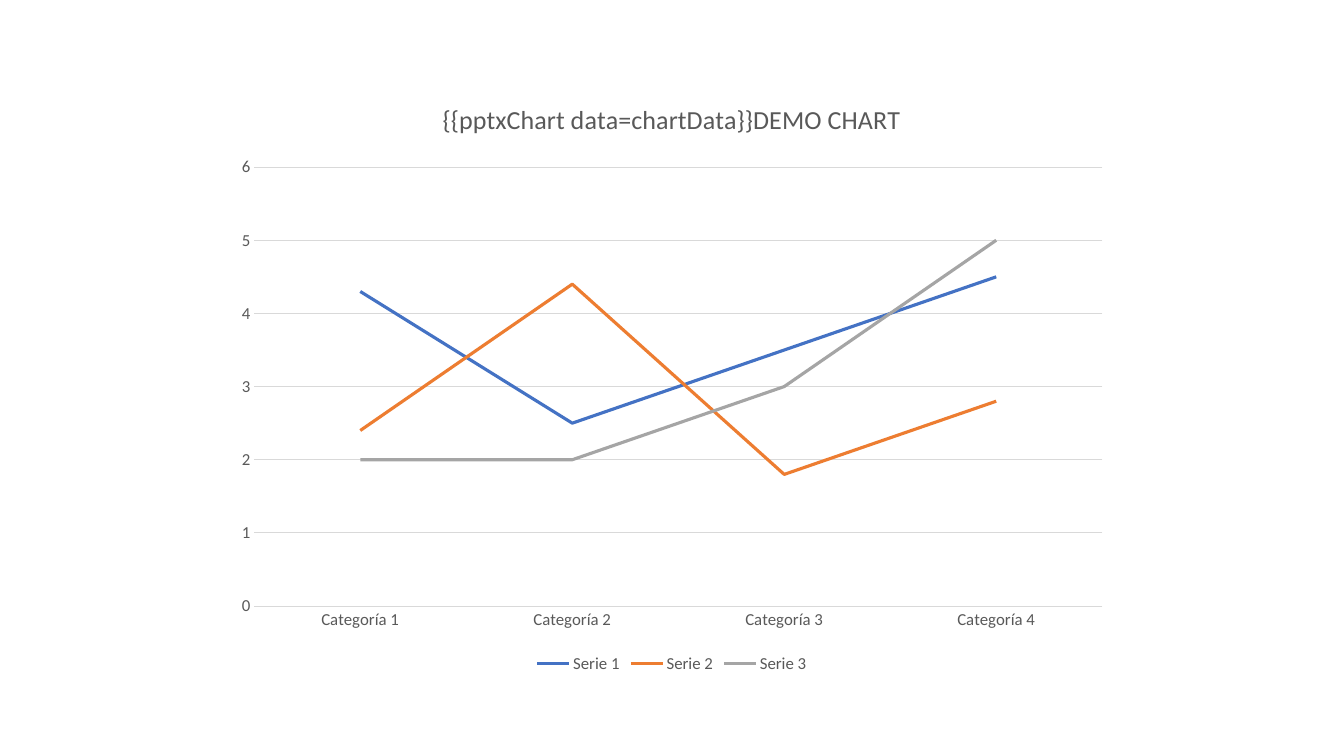
from dataclasses import dataclass

from pptx import Presentation
from pptx import util as u
from pptx.chart import data as cd
from pptx.dml.color import RGBColor
from pptx.enum import chart as ch

HUES = {"text": "595959", "grid": "D9D9D9", "blue": "4472C4",
        "orange": "ED7D31", "gray": "A5A5A5"}


@dataclass
class Trend:
    name: str
    vals: tuple[float, ...]
    hue: str


CATS = [f"Categoría {n}" for n in range(1, 5)]
TRENDS = [
    Trend("Serie 1", (4.3, 2.5, 3.5, 4.5), "blue"),
    Trend("Serie 2", (2.4, 4.4, 1.8, 2.8), "orange"),
    Trend("Serie 3", (2, 2, 3, 5), "gray"),
]


def assign(item, **values) -> None:
    for key, value in values.items():
        setattr(item, key, value)


def style_font(font, size: float) -> None:
    assign(font, name="Calibri", size=u.Pt(size), bold=False)
    font.color.rgb = RGBColor.from_string(HUES["text"])


def style_line(line, hue: str, width: float) -> None:
    line.color.rgb = RGBColor.from_string(HUES[hue])
    line.width = u.Pt(width)


def style_axes(chart) -> None:
    cat, val = chart.category_axis, chart.value_axis
    for axis in (cat, val):
        assign(axis, major_tick_mark=ch.XL_TICK_MARK.NONE,
               minor_tick_mark=ch.XL_TICK_MARK.NONE)
        style_font(axis.tick_labels.font, 12)
    style_line(cat.format.line, "grid", 0.75)
    assign(val, minimum_scale=0, maximum_scale=6, major_unit=1,
           has_major_gridlines=True)
    val.format.line.fill.background()
    style_line(val.major_gridlines.format.line, "grid", 0.75)


def add_trends(slide) -> None:
    data = cd.CategoryChartData()
    data.categories = CATS
    for trend in TRENDS:
        data.add_series(trend.name, trend.vals)
    box = [u.Inches(n) for n in (2.22, 0.79, 8.89, 5.93)]
    chart = slide.shapes.add_chart(ch.XL_CHART_TYPE.LINE, *box, data).chart
    assign(chart, has_title=True, has_legend=True)
    style_font(chart.font, 12)

    title = chart.chart_title
    title.include_in_layout = False
    part = title.text_frame.paragraphs[0].add_run()
    part.text = "{{pptxChart data=chartData}}DEMO CHART"
    style_font(part.font, 18.6)

    assign(chart.legend, position=ch.XL_LEGEND_POSITION.BOTTOM,
           include_in_layout=False)
    style_font(chart.legend.font, 12)
    style_axes(chart)

    plot = chart.plots[0]
    plot.vary_by_categories = False
    for line, trend in zip(plot.series, TRENDS):
        line.smooth = False
        line.marker.style = ch.XL_MARKER_STYLE.NONE
        style_line(line.format.line, trend.hue, 2.25)


def main() -> None:
    deck = Presentation()
    assign(deck, slide_width=u.Inches(13.33), slide_height=u.Inches(7.5))
    add_trends(deck.slides.add_slide(deck.slide_layouts[6]))
    deck.save("out.pptx")


if __name__ == "__main__":
    main()
